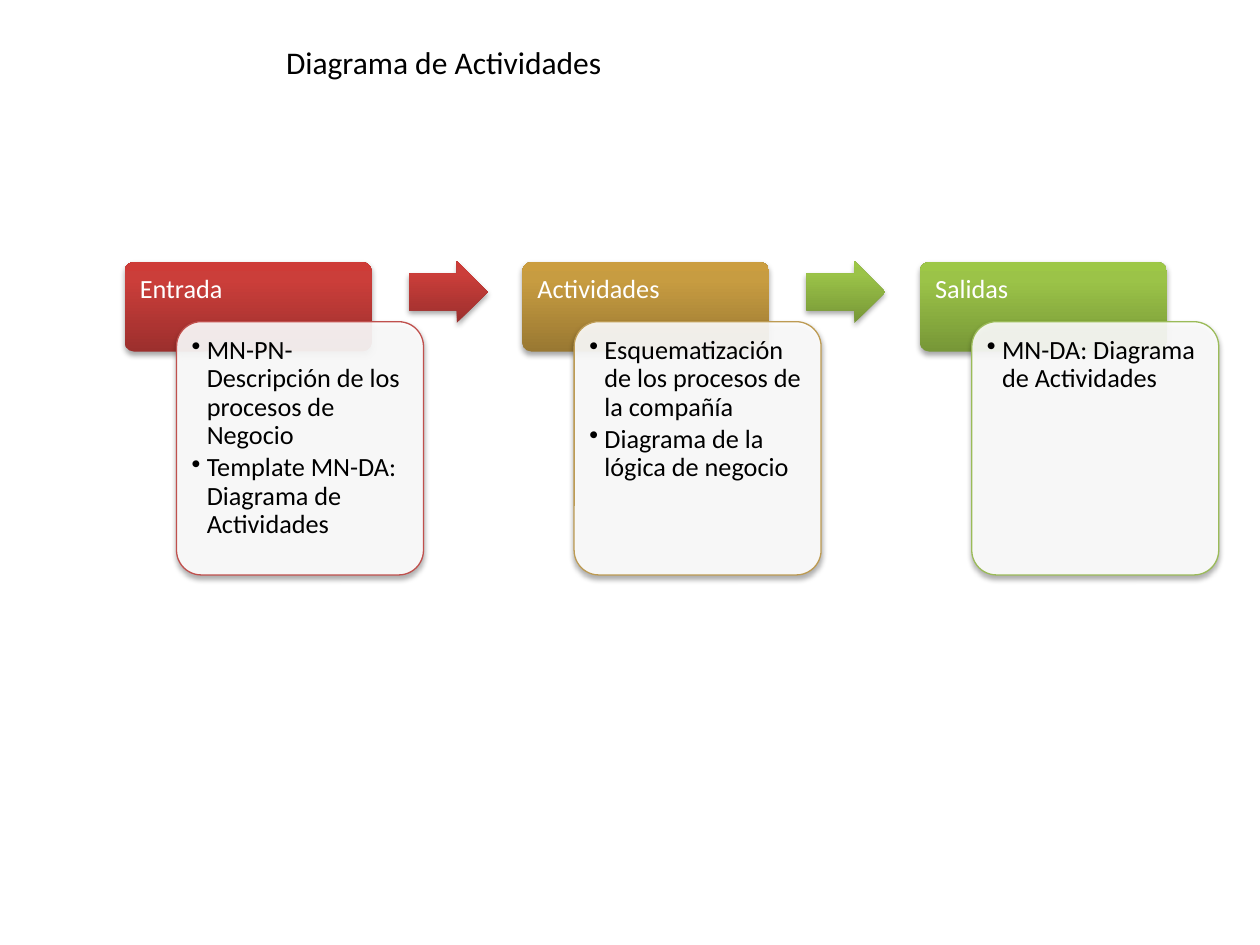
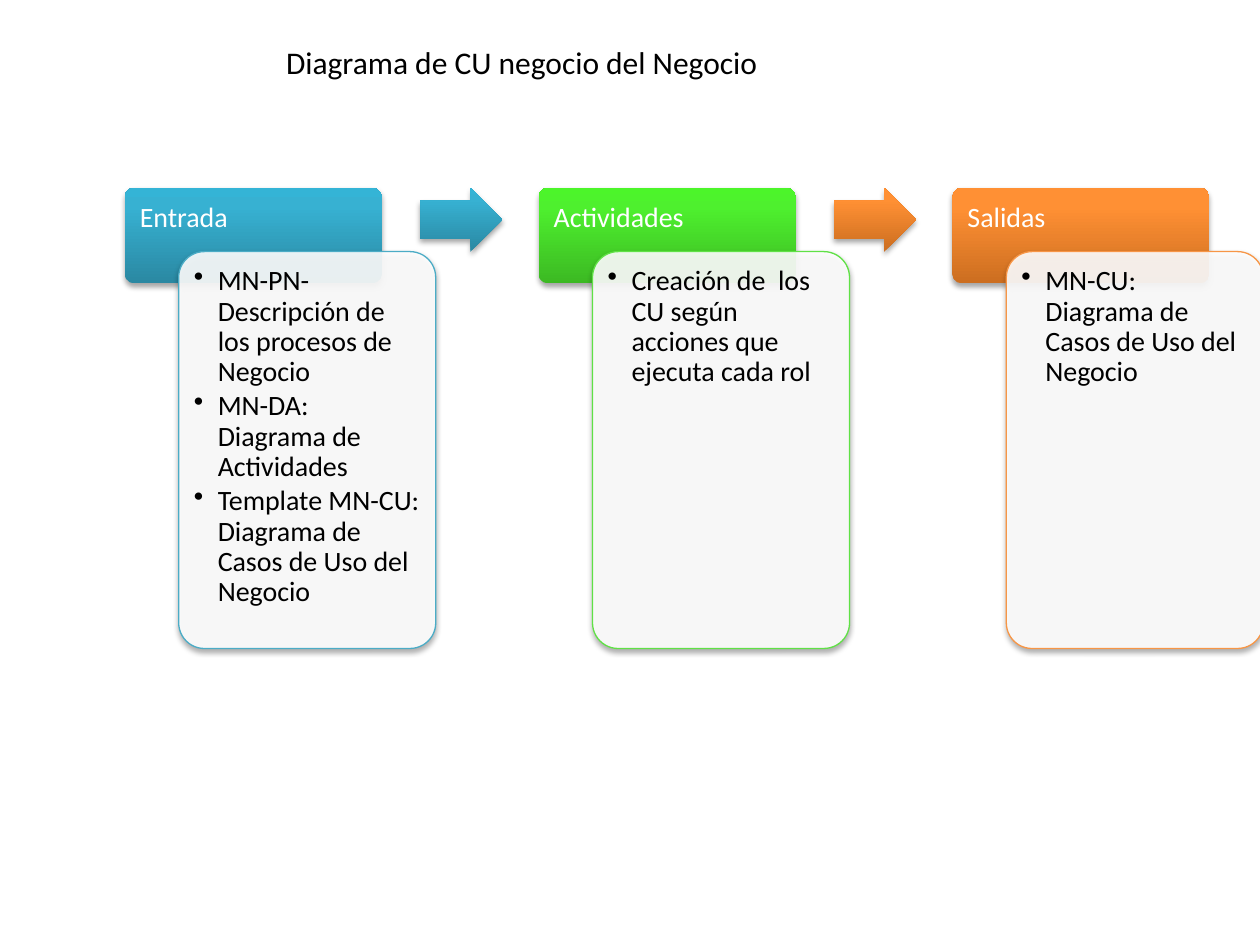
from pptx import Presentation
from pptx.dml.color import RGBColor
from pptx.enum.shapes import MSO_SHAPE
from pptx.enum.text import MSO_ANCHOR, MSO_AUTO_SIZE, PP_ALIGN
from pptx.oxml import parse_xml
from pptx.oxml.ns import nsdecls, qn
from pptx.util import Inches, Pt

# Content: each stage is (heading, colour name, list of points)
SLIDES = [
    {
        "title": "Diagrama de Actividades",
        "top": 2.08, "width": 1.96, "heading_height": 0.71, "panel_height": 2.01,
        "text_size": 15, "indent": 0.12,
        "stages": [
            ("Entrada", "red", ["MN-PN- Descripción de los procesos de Negocio",
                                "Template MN-DA: Diagrama de Actividades"]),
            ("Actividades", "gold", ["Esquematización de los procesos de la compañía",
                                     "Diagrama de la lógica de negocio"]),
            ("Salidas", "olive", ["MN-DA: Diagrama de Actividades"]),
        ],
    },
    {
        "title": "Diagrama de CU negocio del Negocio",
        "top": 1.49, "width": 2.04, "heading_height": 0.76, "panel_height": 3.15,
        "text_size": 16, "indent": 0.19,
        "stages": [
            ("Entrada", "blue", ["MN-PN- Descripción de los procesos de Negocio",
                                 "MN-DA: Diagrama de Actividades",
                                 "Template MN-CU: Diagrama de Casos de Uso del Negocio"]),
            ("Actividades", "green", ["Creación de  los CU según acciones que ejecuta cada rol"]),
            ("Salidas", "orange", ["MN-CU: Diagrama de Casos de Uso del Negocio"]),
        ],
    },
]

# Shared theme: gradients run from bottom to top, outline colours the panel
THEME = {
    "font": "Calibri", "title_size": 18,
    "text": "000000", "heading_text": "FFFFFF", "panel": "FFFFFF",
    "panel_opacity": 90, "line_width": 0.75, "inset": 0.12,
    "gradient_stops": (0, 80, 100),
    "red": {"gradient": ("9C2F2D", "CB3E3A", "CE3B37"), "outline": "C0504D"},
    "gold": {"gradient": ("997832", "C79C41", "CB9D3F"), "outline": "BD9B53"},
    "olive": {"gradient": ("779737", "9BC348", "9DC746"), "outline": "9BBB59"},
    "blue": {"gradient": ("2A88A2", "37B1D2", "34B4D6"), "outline": "4BACC6"},
    "green": {"gradient": ("3CB923", "4EF02E", "4CF52A"), "outline": "60E146"},
    "orange": {"gradient": ("CC6E20", "FF9034", "FF9136"), "outline": "F79646"},
}
TITLE_BOX = (2.17, 0.29, 4.8, 0.71)
LEFT = 0.99
# Shares of the heading width
PITCH, PANEL_SHIFT, ARROW_SHIFT, ARROW_WIDTH, ARROW_HEIGHT = 1.61, 0.21, 1.15, 0.32, 0.25


def set_all(target, formats):
    for name, value in formats.items():
        setattr(target, name, value)


def style_font(font, size, colour):
    set_all(font, {"name": THEME["font"], "size": Pt(size)})
    font.color.rgb = RGBColor.from_string(colour)


def add_block(slide, kind, box, adjustments):
    block = slide.shapes.add_shape(kind, *map(Inches, box))
    for index, value in enumerate(adjustments):
        block.adjustments[index] = value
    block.line.fill.background()
    block.shadow.inherit = False
    block._element.spPr.find(qn("a:effectLst")).append(parse_xml(
        f'<a:outerShdw {nsdecls("a")} blurRad="40000" dist="23000" dir="5400000" rotWithShape="0">'
        '<a:srgbClr val="000000"><a:alpha val="35000"/></a:srgbClr></a:outerShdw>'))
    return block


def fill_gradient(block, colours):
    stops = "".join(f'<a:gs pos="{stop * 1000}"><a:srgbClr val="{colour}"/></a:gs>'
                    for stop, colour in zip(THEME["gradient_stops"], colours))
    block.fill.gradient()
    properties = block._element.spPr
    properties.replace(properties.find(qn("a:gradFill")), parse_xml(
        f'<a:gradFill {nsdecls("a")} rotWithShape="1"><a:gsLst>{stops}</a:gsLst>'
        '<a:lin ang="16200000" scaled="0"/></a:gradFill>'))


def fill_panel(block, outline):
    block.fill.solid()
    block.fill.fore_color.rgb = RGBColor.from_string(THEME["panel"])
    colour = block._element.spPr.find(qn("a:solidFill"))[0]
    colour.append(parse_xml(f'<a:alpha {nsdecls("a")} val="{THEME["panel_opacity"] * 1000}"/>'))
    block.line.color.rgb = RGBColor.from_string(outline)
    block.line.width = Pt(THEME["line_width"])


def add_text(slide, box, lines, size, colour, indent=0):
    frame = slide.shapes.add_textbox(*map(Inches, box)).text_frame
    inset = Inches(THEME["inset"])
    set_all(frame, {"word_wrap": True, "vertical_anchor": MSO_ANCHOR.TOP,
                    "margin_left": inset, "margin_right": inset,
                    "margin_top": inset, "margin_bottom": inset})
    frame.text = "\n".join(lines)
    for paragraph in frame.paragraphs:
        set_all(paragraph, {"line_spacing": 0.9, "space_after": Pt(0.15 * size)})
        style_font(paragraph.runs[0].font, size, colour)
        if indent:
            properties = paragraph._p.get_or_add_pPr()
            properties.set("marL", str(Inches(indent)))
            properties.set("indent", str(-Inches(indent)))
            properties.append(parse_xml(f'<a:buChar {nsdecls("a")} char="•"/>'))


def add_title(slide, words):
    title = slide.shapes.title
    set_all(title, dict(zip(("left", "top", "width", "height"), map(Inches, TITLE_BOX))))
    title.text_frame.text = words
    set_all(title.text_frame, {"word_wrap": True, "vertical_anchor": MSO_ANCHOR.TOP,
                               "auto_size": MSO_AUTO_SIZE.NONE})
    paragraph = title.text_frame.paragraphs[0]
    paragraph.alignment = PP_ALIGN.LEFT
    style_font(paragraph.runs[0].font, THEME["title_size"], THEME["text"])


def add_process(slide, flow):
    top, width, height = flow["top"], flow["width"], flow["heading_height"]
    size = flow["text_size"]
    label_height = height * 2 / 3
    arrow_height = ARROW_HEIGHT * width
    arrow_top = top + (label_height - arrow_height) / 2
    stages = flow["stages"]
    for index, (heading, colour, points) in enumerate(stages):
        left = LEFT + index * PITCH * width
        gradient = THEME[colour]["gradient"]

        # Heading block and its label
        heading_block = add_block(slide, MSO_SHAPE.ROUNDED_RECTANGLE,
                                  (left, top, width, height), [0.1])
        fill_gradient(heading_block, gradient)
        add_text(slide, (left, top, width, label_height), [heading], size, THEME["heading_text"])

        # Overlapping panel with its points
        panel_box = (left + PANEL_SHIFT * width, top + label_height, width, flow["panel_height"])
        panel = add_block(slide, MSO_SHAPE.ROUNDED_RECTANGLE, panel_box, [0.1])
        fill_panel(panel, THEME[colour]["outline"])
        add_text(slide, panel_box, points, size, THEME["text"], flow["indent"])

        # Arrow to the next stage: the first takes its own colour, the last the target's
        if index < len(stages) - 1:
            arrow = add_block(slide, MSO_SHAPE.RIGHT_ARROW,
                              (left + ARROW_SHIFT * width, arrow_top,
                               ARROW_WIDTH * width, arrow_height), [0.6, 0.5])
            source = stages[0] if index == 0 else stages[index + 1]
            fill_gradient(arrow, THEME[source[1]]["gradient"])


presentation = Presentation()
set_all(presentation, {"slide_width": Inches(10), "slide_height": Inches(7.5)})
title_only = presentation.slide_layouts[5]
for flow in SLIDES:
    slide = presentation.slides.add_slide(title_only)
    add_title(slide, flow["title"])
    add_process(slide, flow)
presentation.save("out.pptx")
